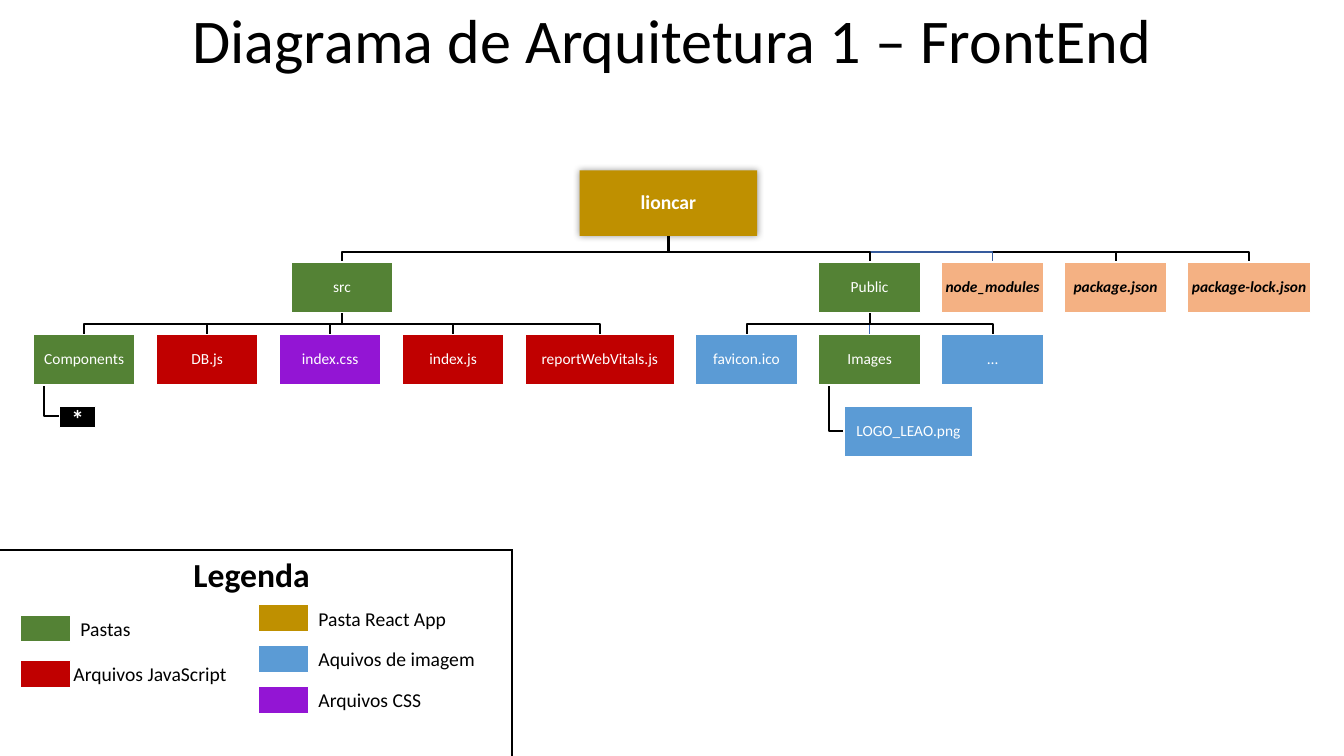
from lxml import etree
from pptx import Presentation
from pptx.dml.color import RGBColor
from pptx.enum.shapes import MSO_CONNECTOR, MSO_SHAPE
from pptx.enum.text import MSO_ANCHOR, MSO_AUTO_SIZE, PP_ALIGN
from pptx.oxml import parse_xml
from pptx.oxml.ns import nsdecls, qn
from pptx.util import Inches, Pt

RECTANGLE, STRAIGHT = MSO_SHAPE.RECTANGLE, MSO_CONNECTOR.STRAIGHT
TOP, MIDDLE, BOTTOM = MSO_ANCHOR.TOP, MSO_ANCHOR.MIDDLE, MSO_ANCHOR.BOTTOM
LEFT, CENTER = PP_ALIGN.LEFT, PP_ALIGN.CENTER
FIXED = MSO_AUTO_SIZE.NONE

BLACK = RGBColor(0x00, 0x00, 0x00)
WHITE = RGBColor(0xFF, 0xFF, 0xFF)
GOLD = RGBColor(0xBF, 0x90, 0x00)
GREEN = RGBColor(0x54, 0x82, 0x35)
RED = RGBColor(0xC0, 0x00, 0x00)
PURPLE = RGBColor(0x93, 0x15, 0xD4)
BLUE = RGBColor(0x5B, 0x9B, 0xD5)
PEACH = RGBColor(0xF4, 0xB1, 0x83)
NAVY = RGBColor(0x36, 0x5B, 0x9D)
ROYAL = RGBColor(0x3E, 0x67, 0xB2)

FONT = "Calibri"
BOX_W, BOX_H, GAP = 1.01, 0.5, 0.21
ROOT_CENTER, ROOT_TOP, ROOT_W, ROOT_H = 6.63, 1.69, 1.76, 0.65
FOLDER_TOP, FILE_TOP, NESTED_TOP = 2.6, 3.32, 4.03

prs = Presentation()
prs.slide_width, prs.slide_height = Inches(13.33), Inches(7.5)
slide = prs.slides.add_slide(prs.slide_layouts[5])
shapes = slide.shapes


def write(frame, text, size, color=BLACK, bold=False, italic=False,
          align=LEFT, anchor=TOP, spacing=1.0):
    frame.word_wrap = True
    frame.auto_size = FIXED
    frame.vertical_anchor = anchor
    paragraph = frame.paragraphs[0]
    paragraph.alignment = align
    paragraph.line_spacing = spacing
    run = paragraph.add_run()
    run.text = text
    run.font.name, run.font.size = FONT, Pt(size)
    run.font.bold, run.font.italic = bold, italic
    run.font.color.rgb = color


def add_block(left, top, width, height, fill):
    block = shapes.add_shape(RECTANGLE, Inches(left), Inches(top), Inches(width), Inches(height))
    block.shadow.inherit = False
    block.fill.solid()
    block.fill.fore_color.rgb = fill
    block.line.color.rgb = WHITE
    block.line.width = Pt(1)
    return block


title = shapes.title
title.left, title.top, title.width, title.height = Inches(1.64), 0, Inches(10.05), Inches(0.81)
write(title.text_frame, "Diagrama de Arquitetura 1 – FrontEnd", 44.4,
      align=CENTER, anchor=BOTTOM, spacing=0.9)

files = [
    ("Components", BOX_W, GREEN), ("DB.js", BOX_W, RED), ("index.css", BOX_W, PURPLE),
    ("index.js", BOX_W, RED), ("reportWebVitals.js", 1.48, RED),
    ("favicon.ico", BOX_W, BLUE), ("Images", BOX_W, GREEN), ("…", BOX_W, BLUE),
]
SRC_FILES = 5
nodes, centers, left = [], [], 0.33
for name, width, fill in files:
    nodes.append((name, left, FILE_TOP, width, BOX_H, fill))
    centers.append(left + width / 2)
    left += width + GAP
src_centers, public_centers = centers[:SRC_FILES], centers[SRC_FILES:]
src_center = (src_centers[0] + src_centers[-1]) / 2
public_center = public_centers[1]

folder_centers = [src_center]
nodes.append(("src", src_center - BOX_W / 2, FOLDER_TOP, BOX_W, BOX_H, GREEN))
left = public_center - BOX_W / 2
for name, width, fill in [("Public", BOX_W, GREEN), ("node_modules", BOX_W, PEACH),
                          ("package.json", BOX_W, PEACH), ("package-lock.json", 1.22, PEACH)]:
    nodes.append((name, left, FOLDER_TOP, width, BOX_H, fill))
    folder_centers.append(left + width / 2)
    left += width + GAP
nodes.append(("*", 0.59, NESTED_TOP, 0.36, 0.21, BLACK))
nodes.append(("LOGO_LEAO.png", 8.37, NESTED_TOP, 1.28, BOX_H, BLUE))

branches = []
for parent, start, bend, end, children in [
    (ROOT_CENTER, ROOT_TOP + ROOT_H, 2.5, FOLDER_TOP, folder_centers),
    (public_center, FOLDER_TOP + BOX_H, 3.21, FILE_TOP, public_centers),
    (src_center, FOLDER_TOP + BOX_H, 3.21, FILE_TOP, src_centers),
]:
    for child in reversed(children):
        color, weight = BLACK, 1.5
        if child == folder_centers[2] and parent == ROOT_CENTER:
            color, weight = NAVY, 1
        points = [(parent, start), (parent, bend), (child, bend), (child, end)]
        if child == parent:
            color, weight = ROYAL, 1
            points = [(parent, start), (parent, end)]
        branches.append((points, color, weight))
for x, y in [(0.44, 4.13), (8.22, 4.28)]:
    branches.append(([(x, FILE_TOP + BOX_H), (x, y), (x + 0.15, y)], BLACK, 1.5))

for points, color, weight in branches:
    corners = [(Inches(x), Inches(y)) for x, y in points]
    builder = shapes.build_freeform(*corners[0])
    builder.add_line_segments(corners[1:], close=False)
    branch = builder.convert_to_shape()
    branch.shadow.inherit = False
    branch.fill.background()
    branch.line.color.rgb = color
    branch.line.width = Pt(weight)

nodes.insert(0, ("lioncar", ROOT_CENTER - ROOT_W / 2, ROOT_TOP, ROOT_W, ROOT_H, GOLD))
for name, left, top, width, height, fill in nodes:
    node = add_block(left, top, width, height, fill)
    frame = node.text_frame
    frame.margin_left = frame.margin_right = Inches(0.01)
    frame.margin_top = frame.margin_bottom = Inches(0.01)
    size = {"lioncar": 14, "*": 18}.get(name, 11)
    config = fill == PEACH
    write(frame, name, size, BLACK if config else WHITE, config or size > 11, config,
          CENTER, TOP if name == "*" else MIDDLE, 0.9)
    if name == "lioncar":
        node.line.fill.background()
        effects = node.element.spPr.find(qn("a:effectLst"))
        effects.append(parse_xml(
            f'<a:outerShdw {nsdecls("a")} blurRad="63500" dist="0" dir="0" rotWithShape="0">'
            '<a:srgbClr val="000000"><a:alpha val="40000"/></a:srgbClr></a:outerShdw>'))

for x1, y1, x2, y2 in [(0, 5.46, 5.09, 5.46), (5.08, 5.47, 5.08, 7.5)]:
    border = shapes.add_connector(STRAIGHT, Inches(x1), Inches(y1), Inches(x2), Inches(y2))
    border.line.color.rgb = BLACK
    border.line.width = Pt(1.5)
    etree.SubElement(border.element.spPr, qn("a:effectLst"))

heading = shapes.add_textbox(Inches(1.82), Inches(5.52), Inches(1.48), Inches(0.4))
write(heading.text_frame, "Legenda", 24, bold=True, anchor=MIDDLE, spacing=0.9)

for label, fill, swatch_left, swatch_top, label_left, label_width in [
    ("Pastas", GREEN, 0.2, 6.1, 0.7, 1.56),
    ("Arquivos JavaScript", RED, 0.2, 6.55, 0.63, 1.78),
    ("Pasta React App", GOLD, 2.56, 6.0, 3.06, 1.85),
    ("Aquivos de imagem", BLUE, 2.56, 6.4, 3.06, 1.85),
    ("Arquivos CSS", PURPLE, 2.56, 6.81, 3.06, 1.85),
]:
    add_block(swatch_left, swatch_top, 0.5, 0.27, fill)
    caption = shapes.add_textbox(Inches(label_left), Inches(swatch_top - 0.03),
                                 Inches(label_width), Inches(0.34))
    write(caption.text_frame, label, 14)

prs.save("out.pptx")
